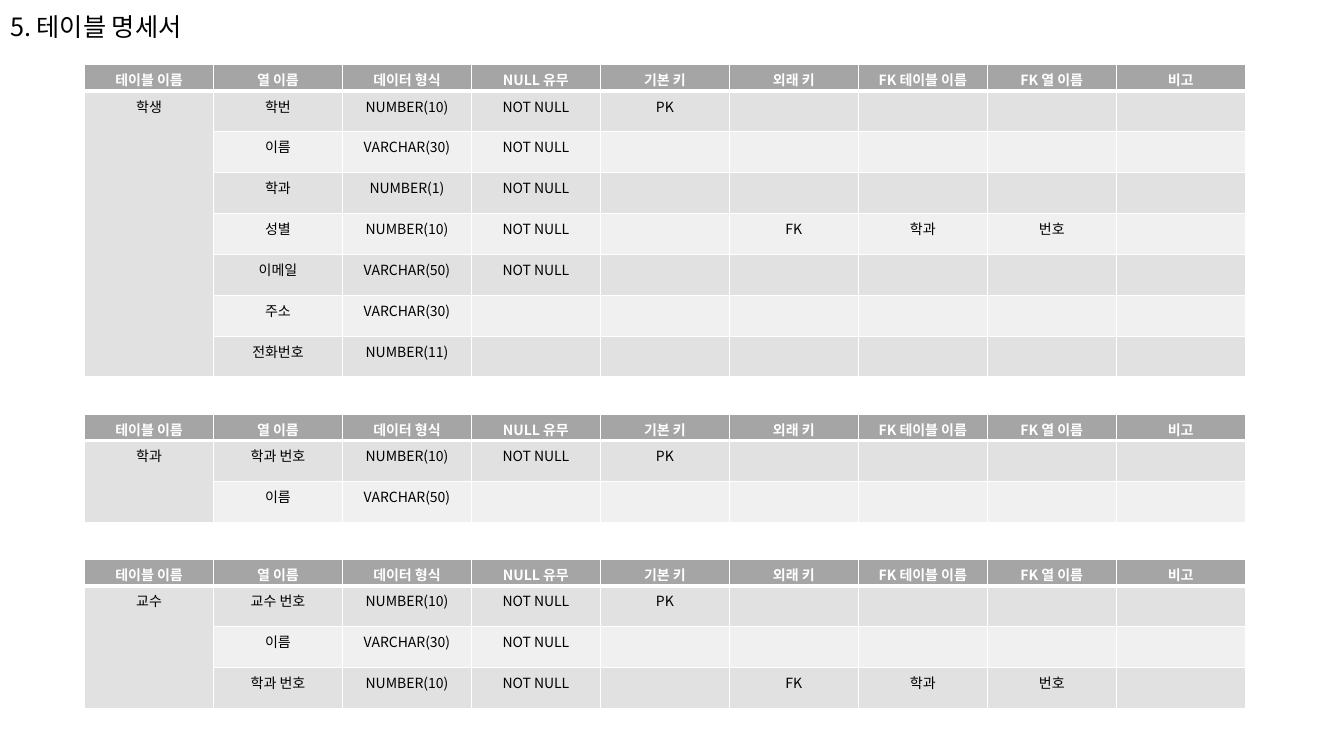
from lxml import etree
from pptx import Presentation
from pptx import util as u
from pptx.dml.color import RGBColor
from pptx.enum import text
from pptx.oxml import ns

FONT = "Noto Sans CJK KR"
HEADER = ["테이블 이름", "열 이름", "데이터 형식", "NULL 유무", "기본 키",
          "외래 키", "FK 테이블 이름", "FK 열 이름", "비고"]
COLUMN_WIDTH, HEADER_HEIGHT, ROW_HEIGHT = 3.25, 0.66, 1.03
TABLE_LEFT = 2.13

# Each entry: table name, top in cm, rows from the second column on
TABLES = [
    ("학과", 10.44, [
        ["학과 번호", "NUMBER(10)", "NOT NULL", "PK"],
        ["이름", "VARCHAR(50)"],
    ]),
    ("학생", 1.63, [
        ["학번", "NUMBER(10)", "NOT NULL", "PK"],
        ["이름", "VARCHAR(30)", "NOT NULL"],
        ["학과", "NUMBER(1)", "NOT NULL"],
        ["성별", "NUMBER(10)", "NOT NULL", "", "FK", "학과", "번호"],
        ["이메일", "VARCHAR(50)", "NOT NULL"],
        ["주소", "VARCHAR(30)"],
        ["전화번호", "NUMBER(11)"],
    ]),
    ("교수", 14.1, [
        ["교수 번호", "NUMBER(10)", "NOT NULL", "PK"],
        ["이름", "VARCHAR(30)", "NOT NULL"],
        ["학과 번호", "NUMBER(10)", "NOT NULL", "", "FK", "학과", "번호"],
    ]),
]


def format_paragraph(paragraph, size, color, bold=False):
    font = paragraph.font
    font.name, font.size, font.bold = FONT, u.Pt(size), bold
    font.color.rgb = RGBColor.from_string(color)
    east_asian = etree.SubElement(font._element, ns.qn("a:ea"))
    east_asian.set("typeface", FONT)


def set_borders(cell, color, bottom_width):
    properties = cell._tc.get_or_add_tcPr()
    for index, side in enumerate(["lnL", "lnR", "lnT", "lnB"]):
        line = etree.Element(ns.qn(f"a:{side}"))
        line.set("w", str(u.Pt(bottom_width if side == "lnB" else 1)))
        fill = etree.SubElement(line, ns.qn("a:solidFill"))
        etree.SubElement(fill, ns.qn("a:srgbClr")).set("val", color)
        properties.insert(index, line)


presentation = Presentation()
presentation.slide_width, presentation.slide_height = u.Cm(33.87), u.Cm(19.05)
slide = presentation.slides.add_slide(presentation.slide_layouts[5])

# Title
title = slide.shapes.title
title.left, title.top, title.width, title.height = u.Cm(0), u.Cm(0.15), u.Cm(5.33), u.Cm(1.02)
frame = title.text_frame
frame.text = "5. 테이블 명세서"
frame.word_wrap = False
frame.auto_size = text.MSO_AUTO_SIZE.SHAPE_TO_FIT_TEXT
frame.vertical_anchor = text.MSO_ANCHOR.TOP
frame.paragraphs[0].alignment = text.PP_ALIGN.LEFT
format_paragraph(frame.paragraphs[0], 18, "000000")

# Specification tables
for name, top, columns in TABLES:
    rows = [HEADER] + [[name if i == 0 else ""] + column for i, column in enumerate(columns)]
    height = HEADER_HEIGHT + ROW_HEIGHT * len(columns)
    table = slide.shapes.add_table(
        len(rows), len(HEADER), u.Cm(TABLE_LEFT), u.Cm(top),
        u.Cm(COLUMN_WIDTH * len(HEADER)), u.Cm(height)).table
    for table_column in table.columns:
        table_column.width = u.Cm(COLUMN_WIDTH)

    for r, values in enumerate(rows):
        is_header = r == 0
        table.rows[r].height = u.Cm(HEADER_HEIGHT if is_header else ROW_HEIGHT)
        row_fill = "A5A5A5" if is_header else "E1E1E1" if r % 2 else "F0F0F0"
        for c in range(len(HEADER)):
            cell = table.cell(r, c)
            cell.margin_bottom = 0
            cell.fill.solid()
            cell.fill.fore_color.rgb = RGBColor.from_string(row_fill)
            set_borders(cell, "FFFFFF", 3 if is_header else 1)
            cell.text = values[c] if c < len(values) else ""
            paragraph = cell.text_frame.paragraphs[0]
            paragraph.alignment = text.PP_ALIGN.CENTER
            format_paragraph(paragraph, 10, "FFFFFF" if is_header else "000000", is_header)

    # The table name spans all body rows
    table.cell(1, 0).merge(table.cell(len(columns), 0))

presentation.save("out.pptx")
